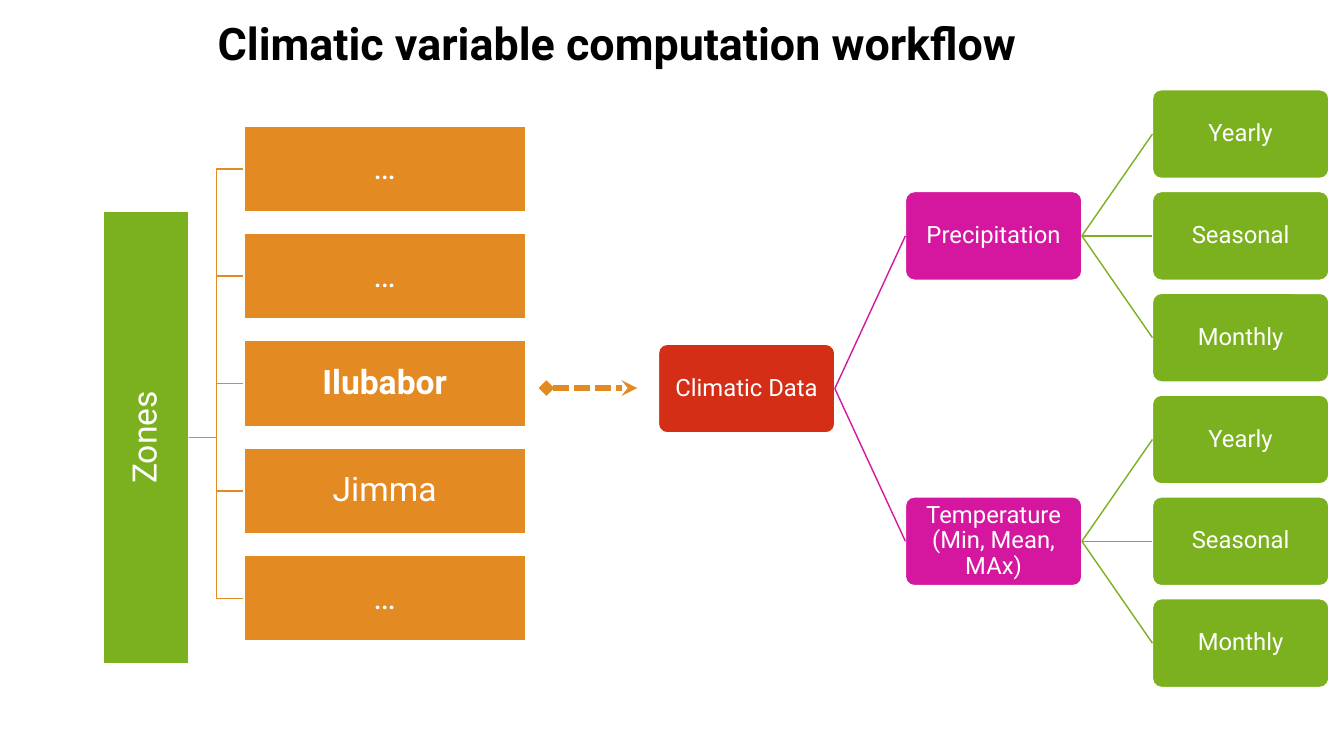
from pptx import Presentation
from pptx.dml.color import RGBColor
from pptx.enum.dml import MSO_LINE_DASH_STYLE as Dash
from pptx.enum.shapes import MSO_CONNECTOR as Connector, MSO_SHAPE as Shape
from pptx.enum.text import MSO_ANCHOR as Anchor, MSO_AUTO_SIZE as AutoSize, PP_ALIGN as Align
from pptx.oxml.ns import qn
from pptx.util import Inches, Pt
from lxml.etree import SubElement

COLOURS = {
    "green": "7BB11F", "orange": "E48A23", "red": "D52E17",
    "magenta": "D5179F", "white": "FFFFFF", "black": "000000",
}
FONT = "Roboto"

# Climate tree: columns for root, variables and periods; rows for periods
TREE_LEFT, TREE_TOP = 6.53, 0.89
TREE_COLUMN, TREE_ROW = 2.45, 1.01
NODE_WIDTH, NODE_HEIGHT = 1.75, 0.88
VARIABLES = ["Precipitation", "Temperature (Min, Mean, MAx)"]
PERIODS = ["Yearly", "Seasonal", "Monthly"]

# Zone list: one bar on the left, equal rows on the right
ZONES = ["…", "…", "Ilubabor", "Jimma", "…"]
ZONE_LEFT, ZONE_TOP, ZONE_ROW = 2.42, 1.25, 4.26 / 4
ZONE_WIDTH, ZONE_HEIGHT = 2.79, 0.85
BAR_RIGHT, BAR_MIDDLE, BAR_LENGTH = 1.87, 4.34, 4.48


def colour(name):
    return RGBColor.from_string(COLOURS[name])


def style_runs(paragraph, size, colour_name, bold=False):
    for run in paragraph.runs:
        run.font.name = FONT
        run.font.size = Pt(size)
        run.font.bold = bold
        run.font.color.rgb = colour(colour_name)


def add_box(slide, kind, left, top, width, height, text, fill, size, inset, bold=False):
    shape = slide.shapes.add_shape(
        kind, Inches(left), Inches(top), Inches(width), Inches(height))
    shape.shadow.inherit = False
    shape.fill.solid()
    shape.fill.fore_color.rgb = colour(fill)
    shape.line.color.rgb = colour("white")
    shape.line.width = Pt(1)
    frame = shape.text_frame
    frame.text = text
    frame.word_wrap = True
    frame.vertical_anchor = Anchor.MIDDLE
    frame.margin_left = frame.margin_right = Inches(inset)
    frame.margin_top = frame.margin_bottom = Inches(inset)
    paragraph = frame.paragraphs[0]
    paragraph.alignment = Align.CENTER
    paragraph.line_spacing = 0.9
    style_runs(paragraph, size, "white", bold)
    return shape


def add_line(slide, start, end, colour_name, width=1):
    line = slide.shapes.add_connector(
        Connector.STRAIGHT, *(Inches(value) for value in (*start, *end)))
    line.line.color.rgb = colour(colour_name)
    line.line.width = Pt(width)
    SubElement(line._element.spPr, qn("a:effectLst"))
    return line


def add_elbow(slide, start, end, colour_name):
    middle = (start[0] + end[0]) / 2
    corners = [(middle, start[1]), (middle, end[1]), end]
    builder = slide.shapes.build_freeform(Inches(start[0]), Inches(start[1]))
    builder.add_line_segments(
        [(Inches(x), Inches(y)) for x, y in corners], close=False)
    elbow = builder.convert_to_shape()
    elbow.shadow.inherit = False
    elbow.fill.background()
    elbow.line.color.rgb = colour(colour_name)
    elbow.line.width = Pt(1)


def add_node(slide, column, row, text, fill):
    """Draw a tree node and return the middles of its left and right edges."""
    left = TREE_LEFT + column * TREE_COLUMN
    top = TREE_TOP + row * TREE_ROW
    node = add_box(slide, Shape.ROUNDED_RECTANGLE, left, top,
                   NODE_WIDTH, NODE_HEIGHT, text, fill, 17, 0.04)
    node.adjustments[0] = 0.1
    middle = top + NODE_HEIGHT / 2
    return (left, middle), (left + NODE_WIDTH, middle)


def add_tree(slide):
    middle_row = (len(VARIABLES) * len(PERIODS) - 1) / 2
    _, root_right = add_node(slide, 0, middle_row, "Climatic Data", "red")
    for index, variable in enumerate(VARIABLES):
        first_row = index * len(PERIODS)
        variable_left, variable_right = add_node(
            slide, 1, first_row + 1, variable, "magenta")
        add_line(slide, root_right, variable_left, "magenta")
        for row, period in enumerate(PERIODS, first_row):
            period_left, _ = add_node(slide, 2, row, period, "green")
            add_line(slide, variable_right, period_left, "green")


def add_zones(slide):
    # The bar is laid out flat, then turned upright about its centre
    bar = add_box(slide, Shape.RECTANGLE,
                  BAR_RIGHT - (ZONE_HEIGHT + BAR_LENGTH) / 2,
                  BAR_MIDDLE - ZONE_HEIGHT / 2,
                  BAR_LENGTH, ZONE_HEIGHT, "Zones", "green", 24, 0.02)
    bar.rotation = 270
    for row, zone in enumerate(ZONES):
        top = ZONE_TOP + row * ZONE_ROW
        add_elbow(slide, (BAR_RIGHT, BAR_MIDDLE),
                  (ZONE_LEFT, top + ZONE_HEIGHT / 2), "orange")
        add_box(slide, Shape.RECTANGLE, ZONE_LEFT, top, ZONE_WIDTH, ZONE_HEIGHT,
                zone, "orange", 24, 0.02, bold=zone == "Ilubabor")


def add_data_arrow(slide):
    arrow = add_line(slide, (5.42, 3.85), (6.32, 3.85), "orange", 3.75)
    arrow.line.dash_style = Dash.SQUARE_DOT
    outline = arrow.line._get_or_add_ln()
    SubElement(outline, qn("a:headEnd"), type="diamond")
    SubElement(outline, qn("a:tailEnd"), type="stealth")


def add_title(slide):
    title = slide.shapes.add_textbox(
        Inches(2.06), Inches(0.11), Inches(8.94), Inches(0.64))
    frame = title.text_frame
    frame.text = "Climatic variable computation workflow"
    frame.word_wrap = False
    frame.auto_size = AutoSize.SHAPE_TO_FIT_TEXT
    style_runs(frame.paragraphs[0], 32, "black", bold=True)


def main():
    presentation = Presentation()
    presentation.slide_width = Inches(13.33)
    presentation.slide_height = Inches(7.5)
    slide = presentation.slides.add_slide(presentation.slide_layouts[6])
    add_tree(slide)
    add_zones(slide)
    add_data_arrow(slide)
    add_title(slide)
    presentation.save("out.pptx")


if __name__ == "__main__":
    main()
